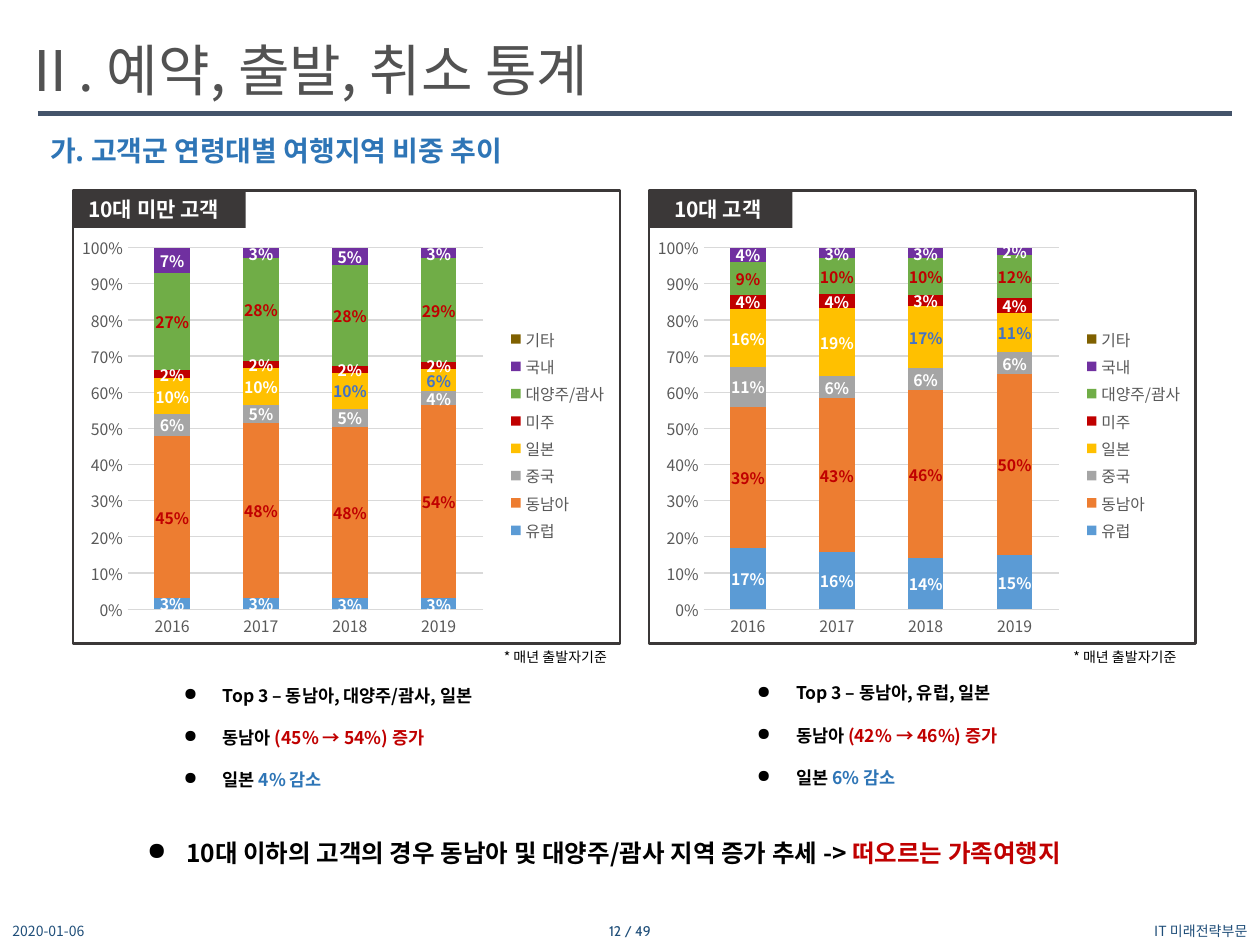
from dataclasses import dataclass

from lxml import etree
from pptx import Presentation
from pptx.chart.data import CategoryChartData
from pptx.dml.color import RGBColor
from pptx.enum.chart import XL_CHART_TYPE, XL_LABEL_POSITION, XL_LEGEND_POSITION, XL_TICK_MARK
from pptx.enum.shapes import MSO_CONNECTOR, MSO_SHAPE
from pptx.enum.text import MSO_ANCHOR, MSO_AUTO_SIZE, PP_ALIGN
from pptx.oxml.ns import qn
from pptx.util import Inches, Pt

STACKED = XL_CHART_TYPE.COLUMN_STACKED_100
LABEL_CENTER = XL_LABEL_POSITION.CENTER
LEGEND_RIGHT = XL_LEGEND_POSITION.RIGHT
NO_TICK = XL_TICK_MARK.NONE
RECT = MSO_SHAPE.RECTANGLE
STRAIGHT = MSO_CONNECTOR.STRAIGHT
TOP, MIDDLE = MSO_ANCHOR.TOP, MSO_ANCHOR.MIDDLE
LEFT, CENTER, RIGHT = PP_ALIGN.LEFT, PP_ALIGN.CENTER, PP_ALIGN.RIGHT

# The slide is a grid of 100 columns by 75 rows
WIDTH, HEIGHT = Inches(10), Inches(7.5)
COL, ROW = WIDTH / 100, HEIGHT / 75


@dataclass(frozen=True)
class Theme:
    body: str = "Noto Sans CJK KR"
    number: str = "Cabin"
    title: str = "525252"
    heading: str = "2E75B6"
    rule: str = "44546A"
    frame: str = "3B3838"
    footer: str = "1F4E79"
    axis: str = "595959"
    grid: str = "D9D9D9"
    ink: str = "000000"
    white: str = "FFFFFF"
    rise: str = "C00000"
    fall: str = "2E75B6"
    fall_label: str = "4472C4"
    title_size: int = 32
    heading_size: int = 16
    summary_size: int = 14
    badge_size: int = 12
    bullet_size: int = 10
    chart_size: int = 9
    small_size: int = 8


THEME = Theme()


@dataclass(frozen=True)
class Box:
    x: float
    y: float
    w: float
    h: float

    def inner(self, dx, dy, w, h):
        return Box(self.x + dx, self.y + dy, w, h)

    def emu(self):
        return int(self.x * COL), int(self.y * ROW), int(self.w * COL), int(self.h * ROW)


YEARS = ("2016", "2017", "2018", "2019")
REGIONS = {
    "유럽": "5B9BD5", "동남아": "ED7D31", "중국": "A5A5A5", "일본": "FFC000",
    "미주": "C00000", "대양주/괌사": "70AD47", "국내": "7030A0", "기타": "7F6000",
}
UNDER_TEN = (
    (0.03, 0.03, 0.03, 0.03), (0.45, 0.48, 0.48, 0.54), (0.06, 0.05, 0.05, 0.04),
    (0.10, 0.10, 0.10, 0.06), (0.02, 0.02, 0.02, 0.02), (0.27, 0.28, 0.28, 0.29),
    (0.07, 0.03, 0.05, 0.03), (0, 0, 0, 0),
)
TEENS = (
    (0.17, 0.16, 0.14, 0.15), (0.39, 0.43, 0.46, 0.50), (0.11, 0.06, 0.06, 0.06),
    (0.16, 0.19, 0.17, 0.11), (0.04, 0.04, 0.03, 0.04), (0.09, 0.10, 0.10, 0.12),
    (0.04, 0.03, 0.03, 0.02), (0, 0, 0, 0),
)
RISING_REGIONS = ("동남아", "대양주/괌사")
FALLING_REGION, FALLING_YEARS = "일본", (2, 3)


def style_font(font, size, color, bold=False, face=THEME.body):
    font.size, font.bold, font.name = Pt(size), bold, face
    font.color.rgb = RGBColor.from_string(color)
    props = font._element
    east_asian = props.find(qn("a:ea"))
    if east_asian is None:
        east_asian = etree.Element(qn("a:ea"))
        props.find(qn("a:latin")).addnext(east_asian)
    east_asian.set("typeface", face)


def add_text(slide, box, text, size, color, bold=False, align=LEFT, anchor=TOP,
             wrap=True, face=THEME.body):
    frame = slide.shapes.add_textbox(*box.emu()).text_frame
    frame.word_wrap, frame.vertical_anchor = wrap, anchor
    frame.text = text
    paragraph = frame.paragraphs[0]
    paragraph.alignment = align
    style_font(paragraph.runs[0].font, size, color, bold, face)


def add_bullets(slide, box, lines, size):
    """Each line is a tuple of (text, colour) runs."""
    frame = slide.shapes.add_textbox(*box.emu()).text_frame
    frame.word_wrap = True
    for index, line in enumerate(lines):
        paragraph = frame.add_paragraph() if index else frame.paragraphs[0]
        props = paragraph._p.get_or_add_pPr()
        props.set("marL", str(Inches(0.31)))
        props.set("indent", str(Inches(-0.31)))
        etree.SubElement(props, qn("a:buChar")).set("char", "●")
        paragraph.line_spacing = 2.0
        for text, color in line:
            run = paragraph.add_run()
            run.text = text
            style_font(run.font, size, color, bold=True)


def add_header(slide, box):
    # Title
    title = slide.shapes.title
    title.left, title.top, title.width, title.height = box.inner(0.8, 2.3, 63.8, 6.4).emu()
    frame = title.text_frame
    frame.text = "Ⅱ. 예약, 출발, 취소 통계"
    frame.auto_size, frame.vertical_anchor = MSO_AUTO_SIZE.NONE, TOP
    frame.paragraphs[0].alignment = LEFT
    style_font(frame.paragraphs[0].runs[0].font, THEME.title_size, THEME.title)
    # Rule below the title
    left, top, width, _ = box.inner(3, 9, 94.8, 0).emu()
    rule = slide.shapes.add_connector(STRAIGHT, left, top, left + width, top)
    rule.line.color.rgb = RGBColor.from_string(THEME.rule)
    rule.line.width = Pt(3)
    etree.SubElement(rule._element.spPr, qn("a:effectLst"))
    # Section heading
    add_text(slide, box.inner(3, 10.1, 53.4, 3.7), "가. 고객군 연령대별 여행지역 비중 추이",
             THEME.heading_size, THEME.heading, bold=True)


def set_plot_area(chart, **shares):
    """Fix the inner plot area as shares of the chart."""
    plot_area = chart._chartSpace.chart.plotArea
    for old in plot_area.findall(qn("c:layout")):
        plot_area.remove(old)
    layout = etree.Element(qn("c:layout"))
    manual = etree.SubElement(layout, qn("c:manualLayout"))
    settings = {"layoutTarget": "inner", "xMode": "edge", "yMode": "edge", **shares}
    for tag, value in settings.items():
        etree.SubElement(manual, qn(f"c:{tag}")).set("val", str(value))
    plot_area.insert(0, layout)


def add_share_chart(slide, box, shares):
    data = CategoryChartData(number_format="0%")
    data.categories = YEARS
    for region, values in zip(REGIONS, shares):
        data.add_series(region, values)
    chart = slide.shapes.add_chart(STACKED, *box.emu(), data).chart
    style_font(chart.font, THEME.chart_size, THEME.axis)
    chart.has_title = False
    chart.has_legend = True
    chart.legend.position, chart.legend.include_in_layout = LEGEND_RIGHT, False
    style_font(chart.legend.font, THEME.chart_size, THEME.axis)
    set_plot_area(chart, x=0.1, y=0.05, w=0.65, h=0.87)
    # Axes
    for axis in (chart.category_axis, chart.value_axis):
        axis.major_tick_mark = axis.minor_tick_mark = NO_TICK
        style_font(axis.tick_labels.font, THEME.chart_size, THEME.axis)
    percent = chart.value_axis
    percent.minimum_scale, percent.maximum_scale, percent.major_unit = 0, 1, 0.1
    percent.tick_labels.number_format = "0%"
    percent.tick_labels.number_format_is_linked = False
    percent.format.line.fill.background()
    for line in (chart.category_axis.format.line, percent.major_gridlines.format.line):
        line.color.rgb = RGBColor.from_string(THEME.grid)
        line.width = Pt(0.75)
    # Regions and their labels
    plot = chart.plots[0]
    plot.gap_width, plot.overlap, plot.vary_by_categories = 150, 100, False
    for series, (region, color) in zip(plot.series, REGIONS.items()):
        series.format.fill.solid()
        series.format.fill.fore_color.rgb = RGBColor.from_string(color)
        if not any(series.values):
            continue
        labels = series.data_labels
        labels.show_value, labels.position = True, LABEL_CENTER
        label_color = THEME.rise if region in RISING_REGIONS else THEME.white
        style_font(labels.font, THEME.chart_size, label_color, bold=True)
        if region == FALLING_REGION:
            for year in FALLING_YEARS:
                label = series.points[year].data_label
                style_font(label.font, THEME.chart_size, THEME.fall_label, bold=True)
                label.position = LABEL_CENTER


def add_panel(slide, box, name, badge_width, badge_indent, shares, note_x):
    # Frame
    frame = slide.shapes.add_shape(RECT, *box.emu())
    frame.shadow.inherit = False
    frame.fill.background()
    frame.line.color.rgb = RGBColor.from_string(THEME.frame)
    frame.line.width = Pt(1.5)
    # Age group badge
    badge = slide.shapes.add_shape(RECT, *box.inner(0, 0, badge_width, 3).emu())
    badge.shadow.inherit = False
    badge.fill.solid()
    badge.fill.fore_color.rgb = RGBColor.from_string(THEME.frame)
    badge.line.fill.background()
    text = badge.text_frame
    text.text = name
    text.margin_left, text.margin_right = int(badge_indent * COL), 0
    text.vertical_anchor = MIDDLE
    text.paragraphs[0].alignment = LEFT
    style_font(text.paragraphs[0].runs[0].font, THEME.badge_size, THEME.white, bold=True)
    # Chart and its footnote
    add_share_chart(slide, box.inner(0, 2.9, box.w, box.h - 3), shares)
    add_text(slide, box.inner(note_x, box.h - 0.1, 10.7, 2.4), "* 매년 출발자기준",
             THEME.small_size, THEME.ink, wrap=False)


def add_findings(slide, box, top_three, rise, fall):
    add_bullets(slide, box, (
        ((f"Top 3 – {top_three}", THEME.ink),),
        (("동남아 ", THEME.ink), (f"({rise}) 증가", THEME.rise)),
        (("일본 ", THEME.ink), (f"{fall} 감소", THEME.fall)),
    ), THEME.bullet_size)


def add_footer(slide, box):
    third = box.w / 3
    parts = (("2020-01-06", LEFT, THEME.body), ("12 / 49", CENTER, THEME.number),
             ("IT 미래전략부문", RIGHT, THEME.body))
    for index, (text, align, face) in enumerate(parts):
        add_text(slide, box.inner(index * third, 0, third, box.h), text, THEME.small_size,
                 THEME.footer, align=align, anchor=MIDDLE, face=face)


def main():
    deck = Presentation()
    deck.slide_width, deck.slide_height = WIDTH, HEIGHT
    slide = deck.slides.add_slide(deck.slide_layouts[5])
    add_header(slide, Box(0, 0, 100, 14))
    add_panel(slide, Box(5.8, 15.1, 43.4, 36), "10대 미만 고객", 13.7, 1.2, UNDER_TEN, 33.2)
    add_panel(slide, Box(51.5, 15.1, 43.4, 36), "10대 고객", 11.4, 2, TEENS, 32.7)
    add_findings(slide, Box(13.6, 52.2, 31.8, 11.1), "동남아, 대양주/괌사, 일본", "45% → 54%", "4%")
    add_findings(slide, Box(59.1, 52, 38.6, 11.5), "동남아, 유럽, 일본", "42% → 46%", "6%")
    add_bullets(slide, Box(10.7, 63.7, 85.1, 5), ((
        ("10대 이하의 고객의 경우 동남아 및 대양주/괌사 지역 증가 추세 -> ", THEME.ink),
        ("떠오르는 가족여행지", THEME.rise)),), THEME.summary_size)
    add_footer(slide, Box(0, 72.9, 100, 2))
    deck.save("out.pptx")


if __name__ == "__main__":
    main()
